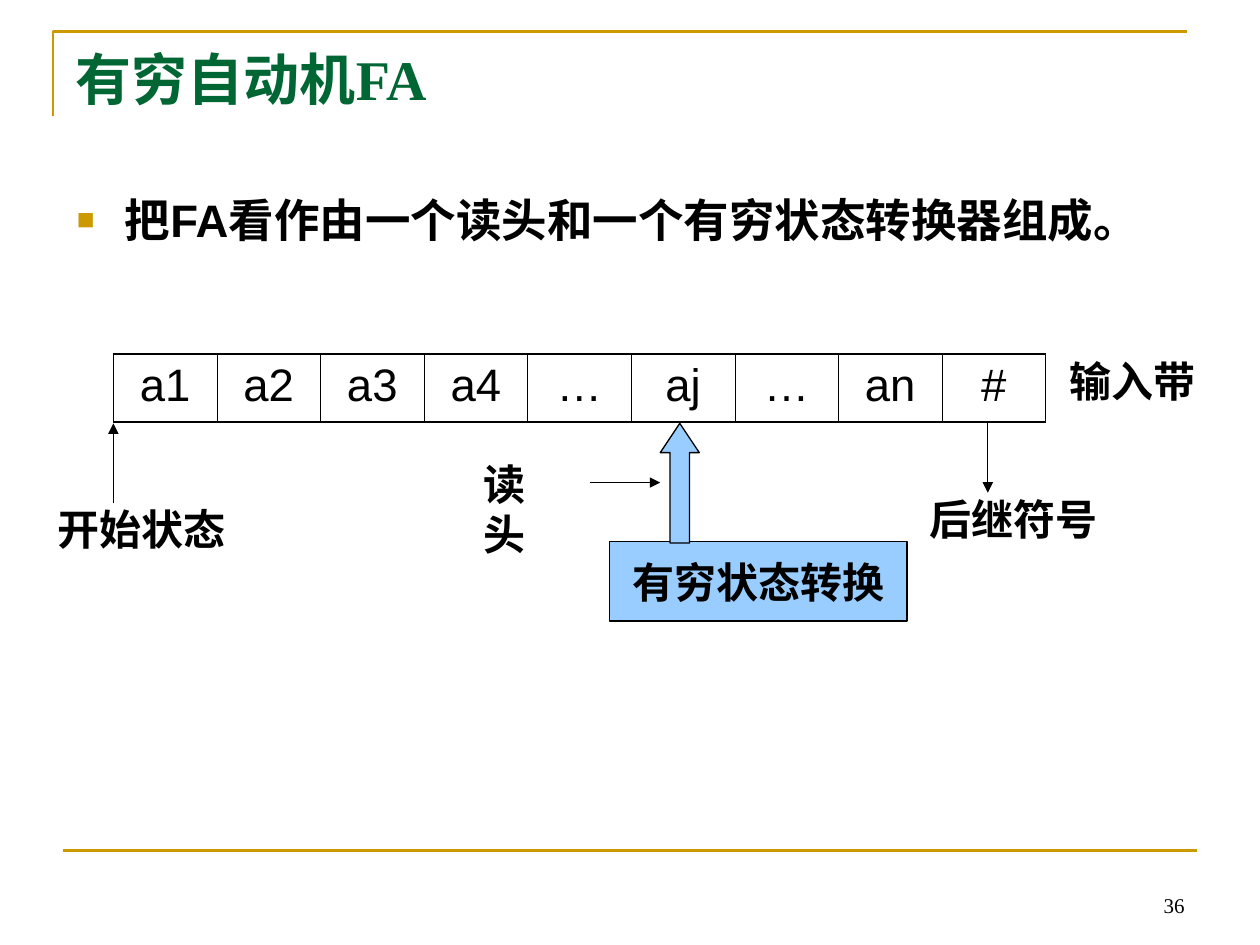
from dataclasses import dataclass

from lxml import etree
from pptx import Presentation
from pptx.dml.color import RGBColor
from pptx.enum.shapes import MSO_CONNECTOR, MSO_SHAPE
from pptx.enum.text import MSO_ANCHOR, MSO_AUTO_SIZE, PP_ALIGN
from pptx.oxml.ns import qn
from pptx.util import Inches, Pt

LEFT, CENTER, RIGHT = PP_ALIGN.LEFT, PP_ALIGN.CENTER, PP_ALIGN.RIGHT
TOP, MIDDLE, BOTTOM = MSO_ANCHOR.TOP, MSO_ANCHOR.MIDDLE, MSO_ANCHOR.BOTTOM
NO_FIT = MSO_AUTO_SIZE.NONE
STRAIGHT = MSO_CONNECTOR.STRAIGHT
RECT, UP_ARROW = MSO_SHAPE.RECTANGLE, MSO_SHAPE.UP_ARROW


@dataclass(frozen=True)
class Theme:
    """Colours, fonts, type sizes and line widths of the slide."""
    gold: str = "CC9900"
    green: str = "006633"
    blue: str = "99CCFF"
    black: str = "000000"
    serif: str = "Times New Roman"
    sans: str = "Arial"
    title: int = 32
    body: int = 26
    label: int = 24
    number: int = 12
    rule: float = 1.5
    outer: float = 1.08
    inner: float = 0.45
    thin: float = 0.75


T = Theme()


def rgb(color):
    """Turn a hex string into a colour."""
    return RGBColor.from_string(color)


def write(p, text, size, font=T.serif, color=T.black, bold=True, align=LEFT):
    """Add one formatted run to a paragraph."""
    p.alignment = align
    r = p.add_run()
    r.text = text
    r.font.size, r.font.name, r.font.bold = Pt(size), font, bold
    r.font.color.rgb = rgb(color)


def place(sp, x, y, w, h):
    """Move and size a shape in inches."""
    sp.left, sp.top, sp.width, sp.height = map(Inches, (x, y, w, h))


def add_label(s, text, x, y, w, h, size=T.label, bold=True, align=LEFT,
              anchor=TOP, wrap=False):
    """Add a text box with one line of text."""
    tf = s.shapes.add_textbox(*map(Inches, (x, y, w, h))).text_frame
    tf.word_wrap, tf.vertical_anchor = wrap, anchor
    write(tf.paragraphs[0], text, size, bold=bold, align=align)


def add_line(s, x1, y1, x2, y2, color=T.black, width=T.thin, arrow=True):
    """Add a straight line, with an arrowhead at its end if asked."""
    cn = s.shapes.add_connector(STRAIGHT, *map(Inches, (x1, y1, x2, y2)))
    cn.line.color.rgb, cn.line.width = rgb(color), Pt(width)
    if arrow:
        etree.SubElement(cn.line._get_or_add_ln(), qn("a:tailEnd"), type="triangle")
    etree.SubElement(cn._element.spPr, qn("a:effectLst"))


def add_block(s, kind, x, y, w, h):
    """Add a blue shape with a thin black outline."""
    sp = s.shapes.add_shape(kind, *map(Inches, (x, y, w, h)))
    sp.shadow.inherit = False
    sp.fill.solid()
    sp.fill.fore_color.rgb = rgb(T.blue)
    sp.line.color.rgb, sp.line.width = rgb(T.black), Pt(T.thin)
    return sp


def add_frame(s, x, y, w, h):
    """Draw the gold corner, the bottom rule and the page number."""
    fb = s.shapes.build_freeform(Inches(x), Inches(y + 0.67))
    fb.add_line_segments([(Inches(x), Inches(y)), (Inches(x + w), Inches(y))], close=False)
    sp = fb.convert_to_shape()
    sp.shadow.inherit = False
    sp.fill.background()
    sp.line.color.rgb, sp.line.width = rgb(T.gold), Pt(T.rule)
    left, bottom = x + 0.08, y + h
    add_line(s, left, bottom, left + w, bottom, T.gold, T.rule, arrow=False)
    add_label(s, "36", left + w - 2.33, bottom + 0.08, 2.33, 0.5, T.number,
              bold=False, align=RIGHT, anchor=BOTTOM, wrap=True)


def add_title(s, x, y, w, h):
    """Fill the title placeholder."""
    sp = s.shapes.title
    place(sp, x, y, w, h)
    tf = sp.text_frame
    tf.auto_size, tf.vertical_anchor = NO_FIT, TOP
    write(tf.paragraphs[0], "有穷自动机FA", T.title, color=T.green)


def add_statement(s, x, y, w, h):
    """Fill the body placeholder with the bulleted statement."""
    sp = s.placeholders[1]
    place(sp, x, y, w, h)
    tf = sp.text_frame
    tf.auto_size, tf.vertical_anchor = NO_FIT, TOP
    p = tf.paragraphs[0]
    p.space_before = Pt(0)
    pPr = p._p.get_or_add_pPr()
    pPr.set("marL", str(Inches(0.38)))
    pPr.set("indent", str(-Inches(0.38)))
    clr = etree.SubElement(pPr, qn("a:buClr"))
    etree.SubElement(clr, qn("a:srgbClr"), val=T.gold)
    etree.SubElement(pPr, qn("a:buSzPct"), val="65000")
    etree.SubElement(pPr, qn("a:buFont"), typeface=T.sans)
    etree.SubElement(pPr, qn("a:buChar"), char="■")
    write(p, "把FA看作由一个读头和一个有穷状态转换器组成。", T.body, T.sans)


def set_borders(cell, **widths):
    """Give a cell black borders of the widths named by side."""
    tcPr = cell._tc.get_or_add_tcPr()
    for i, side in enumerate("LRTB"):
        ln = etree.Element(qn(f"a:ln{side}"), w=str(Pt(widths[side])))
        fill = etree.SubElement(ln, qn("a:solidFill"))
        etree.SubElement(fill, qn("a:srgbClr"), val=T.black)
        tcPr.insert(i, ln)


def add_tape(s, x, y, w, h):
    """Draw the input tape as a one-row table with its name."""
    symbols = ["a1", "a2", "a3", "a4", "…", "aj", "…", "an", "#"]
    last = len(symbols) - 1
    table = s.shapes.add_table(1, len(symbols), *map(Inches, (x, y, w, h))).table
    table.first_row = table.horz_banding = False
    for i, symbol in enumerate(symbols):
        table.columns[i].width = Inches(w / len(symbols))
        cell = table.cell(0, i)
        cell.fill.background()
        set_borders(cell, L=T.outer if i == 0 else T.inner,
                    R=T.outer if i == last else T.inner, T=T.outer, B=T.outer)
        write(cell.text_frame.paragraphs[0], symbol, T.body, T.sans,
              bold=False, align=CENTER)
    add_label(s, "输入带", x + w + 0.09, y - 0.04, 1.2, 0.5)


def add_machine(s, x, y, w, h):
    """Draw the reading head, the converter and the pointers under the tape."""
    add_line(s, x, y + 0.63, x, y)
    add_label(s, "开始状态", x - 0.54, y + 0.59, 1.53, 0.5)
    end = x + w - 0.46
    add_line(s, end, y, end, y + 0.55)
    add_label(s, "后继符号", end - 0.56, y + 0.51, 1.53, 0.5)

    sp = add_block(s, RECT, x + 3.94, y + h - 0.63, 2.36, 0.63)
    tf = sp.text_frame
    tf.word_wrap, tf.vertical_anchor = False, MIDDLE
    write(tf.paragraphs[0], "有穷状态转换", T.label, align=CENTER)
    head = x + 4.34
    arrow = add_block(s, UP_ARROW, head, y, 0.31, 0.95)
    arrow.adjustments[0], arrow.adjustments[1] = 0.5, 0.75
    add_line(s, head - 0.56, y + 0.47, head, y + 0.47)
    add_label(s, "读头", head - 1.5, y + 0.23, 0.86, 0.5)


def main():
    """Build the slide and save it."""
    prs = Presentation()
    prs.slide_width, prs.slide_height = Inches(10), Inches(7.5)
    s = prs.slides.add_slide(prs.slide_layouts[1])
    add_frame(s, 0.42, 0.25, 9, 6.5)
    add_title(s, 0.5, 0.3, 9, 0.93)
    add_statement(s, 0.51, 1.47, 8.9, 0.79)
    add_tape(s, 0.9, 2.81, 7.4, 0.54)
    add_machine(s, 0.9, 3.36, 7.4, 1.57)
    prs.save("out.pptx")


if __name__ == "__main__":
    main()
